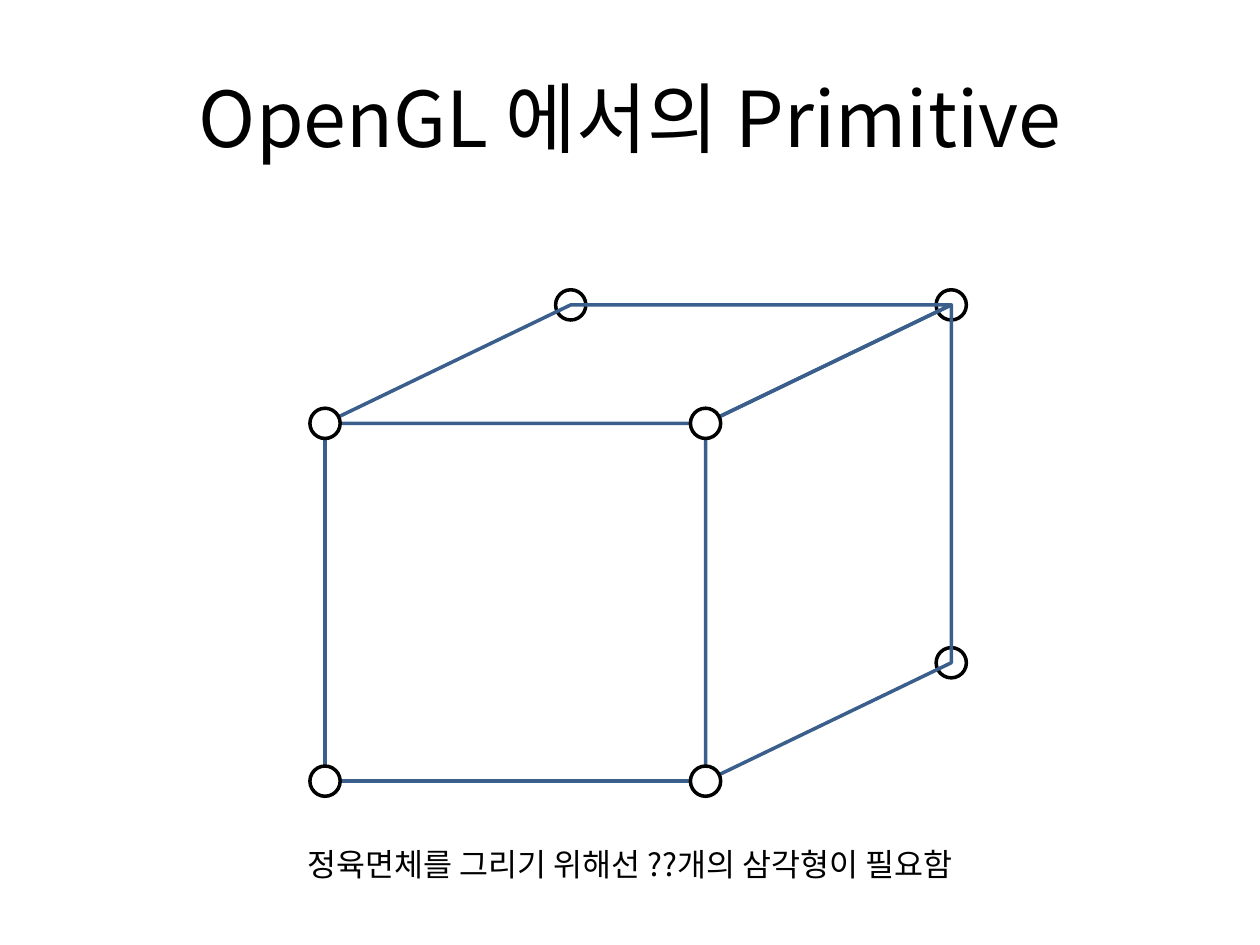
from pptx import Presentation
from pptx.dml.color import RGBColor
from pptx.enum.shapes import MSO_SHAPE as Shape
from pptx.enum.text import MSO_ANCHOR as Anchor, MSO_AUTO_SIZE as AutoSize, PP_ALIGN as Align
from pptx.oxml.ns import qn
from pptx.util import Inches, Pt
from lxml.etree import SubElement

FONT = "Noto Sans CJK KR"
BLACK, WHITE, EDGE = "000000", "FFFFFF", "3A5F8C"
DOT = 0.24


def color(value):
    return RGBColor.from_string(value)


def style_shape(shape, line, fill=None):
    shape.shadow.inherit = False
    if fill:
        shape.fill.solid()
        shape.fill.fore_color.rgb = color(fill)
    else:
        shape.fill.background()
    shape.line.color.rgb = color(line)
    shape.line.width = Pt(2)


def write_text(shape, text, size):
    frame = shape.text_frame
    frame.word_wrap = True
    frame.text = text
    paragraph = frame.paragraphs[0]
    paragraph.alignment = Align.CENTER
    for run in paragraph.runs:
        run.font.size = Pt(size)
        run.font.name = FONT
        run.font.color.rgb = color(BLACK)
        SubElement(run._r.get_or_add_rPr(), qn("a:ea"), typeface=FONT)


def add_title(slide, left, top, width, height):
    title = slide.shapes.title
    title.left, title.top = Inches(left), Inches(top)
    title.width, title.height = Inches(width), Inches(height)
    write_text(title, "OpenGL 에서의 Primitive", 44)
    title.text_frame.vertical_anchor = Anchor.MIDDLE


def add_vertices(slide, points):
    for x, y in points:
        dot = slide.shapes.add_shape(Shape.OVAL, Inches(x - DOT / 2), Inches(y - DOT / 2),
                                     Inches(DOT), Inches(DOT))
        style_shape(dot, BLACK, WHITE)


def add_face(slide, points):
    start, *others = [(Inches(x), Inches(y)) for x, y in points]
    builder = slide.shapes.build_freeform(*start)
    builder.add_line_segments(others, close=True)
    style_shape(builder.convert_to_shape(), EDGE)


def add_cube(slide, left, top, width, height, depth_x, depth_y):
    """Draw a cube whose front face is the given box; depth leads up and right."""
    right, bottom = left + width, top + height
    back_left, back_right = left + depth_x, right + depth_x
    back_top, back_bottom = top - depth_y, bottom - depth_y

    add_vertices(slide, [(back_left, back_top), (back_right, back_top),
                         (back_right, back_bottom)])
    front = slide.shapes.add_shape(Shape.RECTANGLE, Inches(left), Inches(top),
                                   Inches(width), Inches(height))
    style_shape(front, EDGE)
    add_face(slide, [(back_left, back_top), (back_right, back_top), (right, top), (left, top)])
    add_face(slide, [(right, top), (back_right, back_top),
                     (back_right, back_bottom), (right, bottom)])
    add_vertices(slide, [(x, y) for y in (top, bottom) for x in (left, right)])


def add_caption(slide, left, top, width, height):
    caption = slide.shapes.add_textbox(Inches(left), Inches(top), Inches(width), Inches(height))
    write_text(caption, "정육면체를 그리기 위해선 ??개의 삼각형이 필요함", 18)
    caption.text_frame.auto_size = AutoSize.SHAPE_TO_FIT_TEXT


def main():
    presentation = Presentation()
    presentation.slide_width, presentation.slide_height = Inches(10), Inches(7.5)
    title_only = presentation.slide_layouts[5]
    slide = presentation.slides.add_slide(title_only)
    add_title(slide, 0.5, 0.3, 9, 1.25)
    add_cube(slide, 2.58, 3.36, 3.02, 2.84, 1.95, 0.94)
    add_caption(slide, 1.14, 6.66, 7.72, 0.4)
    presentation.save("out.pptx")


if __name__ == "__main__":
    main()
